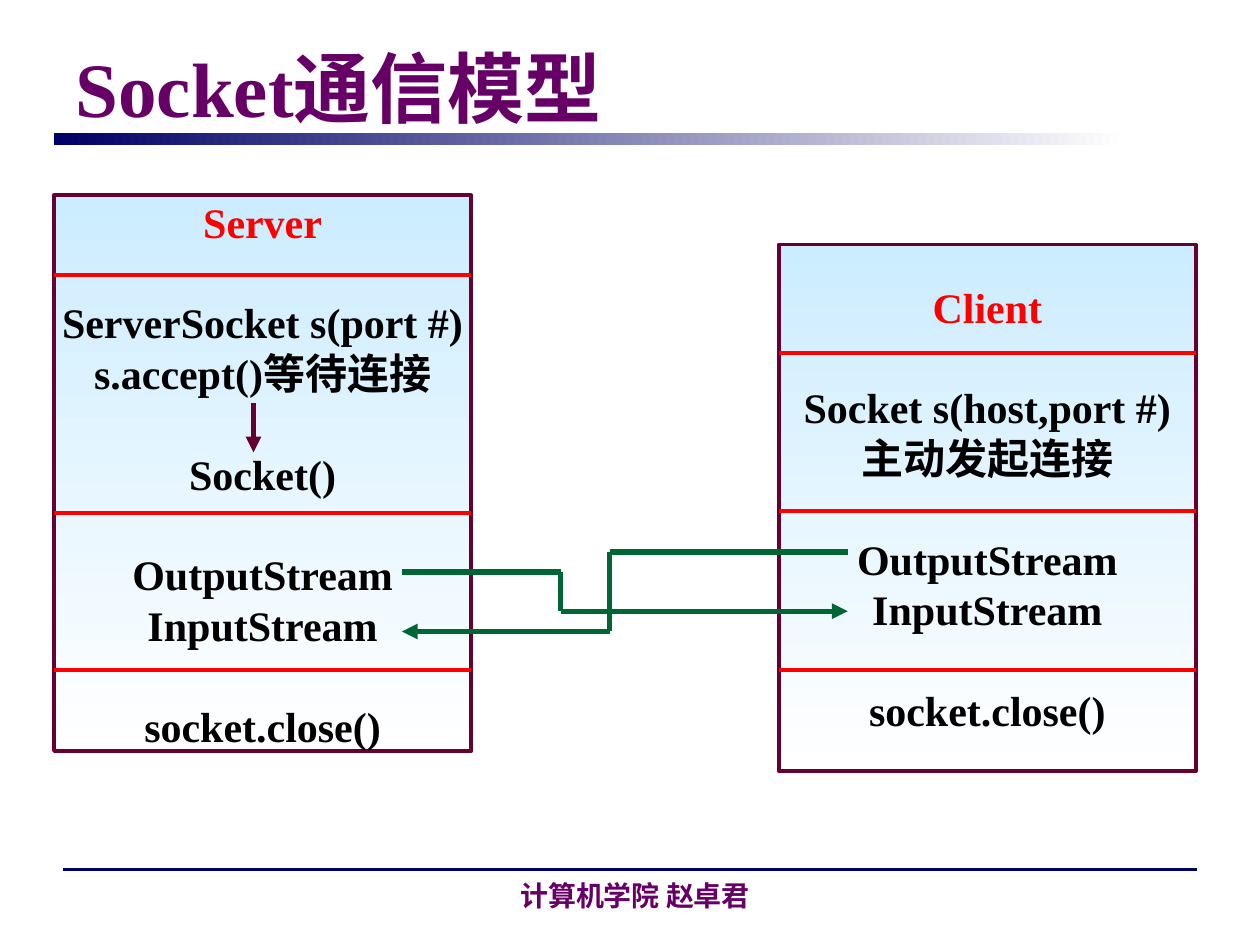
from dataclasses import dataclass
from itertools import pairwise

from lxml.etree import SubElement
from pptx import Presentation
from pptx.dml.color import RGBColor as Rgb
from pptx.enum.shapes import MSO_CONNECTOR as Link, MSO_SHAPE as Form
from pptx.enum.text import MSO_ANCHOR as Anchor, PP_ALIGN as Align
from pptx.oxml.ns import qn
from pptx.util import Cm, Pt


@dataclass(frozen=True)
class Theme:
    navy: str = "000066"
    plum: str = "660066"
    wine: str = "660033"
    red: str = "FF0000"
    green: str = "006633"
    sky: str = "CCECFF"
    white: str = "FFFFFF"
    black: str = "000000"
    latin: str = "Times New Roman"
    asian: str = "Noto Sans CJK SC"
    title: float = 44
    body: float = 24
    foot: float = 16
    pitch: float = 28.8
    thin: float = 1.5
    edge: float = 2.25
    bold: float = 3


@dataclass(frozen=True)
class Peer:
    """A box of stacked sections; each group of lines is set off by one line."""
    left: float
    top: float
    high: float
    cuts: tuple[float, ...]
    groups: tuple[tuple[str, ...], ...]
    wide: float = 8.41


@dataclass(frozen=True)
class Route:
    points: tuple[tuple[float, float], ...]
    color: str


THEME = Theme()
STREAMS = ("OutputStream", "InputStream")
CLOSE = ("socket.close()",)
PEERS = (
    Peer(1.09, 3.94, 11.2, (5.54, 10.34, 13.51),
         (("Server",), ("ServerSocket s(port #)", "s.accept()等待连接"),
          ("Socket()",), STREAMS, CLOSE)),
    Peer(15.7, 4.93, 10.62, (7.11, 10.31, 13.51),
         (("Client",), ("Socket s(host,port #)", "主动发起连接"), STREAMS, CLOSE)),
)
ROUTES = (
    Route(((8.1, 11.53), (11.3, 11.53), (11.3, 12.32), (17.09, 12.32)), THEME.green),
    Route(((17.09, 11.13), (12.29, 11.13), (12.29, 12.73), (8.1, 12.73)), THEME.green),
    Route(((5.11, 8.13), (5.11, 9.12)), THEME.wine),
)


def style(para, size: float, color: str, latin: str = THEME.latin) -> None:
    for run in para.runs:
        font = run.font
        font.name, font.size, font.bold = latin, Pt(size), True
        font.color.rgb = Rgb.from_string(color)
        face = SubElement(font._element, qn("a:ea"))
        face.set("typeface", THEME.asian)


def line(slide, start: tuple, end: tuple, color: str, width: float, arrow: bool = False) -> None:
    link = slide.shapes.add_connector(Link.STRAIGHT, *map(Cm, start + end))
    link.line.color.rgb = Rgb.from_string(color)
    link.line.width = Pt(width)
    if arrow:
        SubElement(link.line._get_or_add_ln(), qn("a:tailEnd")).set("type", "triangle")
    SubElement(link._element.spPr, qn("a:effectLst"))


def panel(slide, box: tuple, first: str, last: str, angle: int):
    """Add a rectangle with a two-colour gradient and no outline."""
    shape = slide.shapes.add_shape(Form.RECTANGLE, *map(Cm, box))
    shape.shadow.inherit = False
    shape.fill.gradient()
    shape.fill.gradient_angle = angle
    for stop, color in zip(shape.fill.gradient_stops, (first, last)):
        stop.color.rgb = Rgb.from_string(color)
    shape.line.fill.background()
    return shape


def draw_peer(slide, peer: Peer) -> None:
    box = (peer.left, peer.top, peer.wide, peer.high)
    shape = panel(slide, box, THEME.sky, THEME.white, 270)
    shape.line.color.rgb = Rgb.from_string(THEME.wine)
    shape.line.width = Pt(THEME.edge)
    frame = shape.text_frame
    frame.word_wrap = False
    frame.vertical_anchor = Anchor.MIDDLE
    frame.text = "\n".join(text for group in peer.groups for text in group)
    starts = [index == 0 for group in peer.groups for index in range(len(group))]
    for index, para in enumerate(frame.paragraphs):
        para.alignment = Align.CENTER
        para.line_spacing = Pt(THEME.pitch)
        para.space_before = Pt(THEME.pitch if index and starts[index] else 0)
        style(para, THEME.body, THEME.black if index else THEME.red)
    for cut in peer.cuts:
        line(slide, (peer.left, cut), (peer.left + peer.wide, cut), THEME.red, THEME.edge)


def draw_route(slide, route: Route) -> None:
    for start, end in pairwise(route.points):
        line(slide, start, end, route.color, THEME.bold, end == route.points[-1])


def draw_title(slide, text: str) -> None:
    title = slide.shapes.title
    title.left, title.top, title.width, title.height = map(Cm, (1.27, 0.76, 22.86, 1.96))
    frame = title.text_frame
    frame.text = text
    frame.vertical_anchor = Anchor.MIDDLE
    frame.paragraphs[0].alignment = Align.LEFT
    style(frame.paragraphs[0], THEME.title, THEME.plum)


def draw_foot(slide, text: str) -> None:
    line(slide, (1.27, 17.53), (24.13, 17.53), THEME.navy, THEME.thin)
    frame = slide.shapes.add_textbox(*map(Cm, (6.71, 17.25, 12.19, 1.27))).text_frame
    frame.word_wrap = True
    frame.vertical_anchor = Anchor.BOTTOM
    frame.text = text
    frame.paragraphs[0].alignment = Align.CENTER
    style(frame.paragraphs[0], THEME.foot, THEME.plum, THEME.asian)


def main() -> None:
    deck = Presentation()
    deck.slide_width, deck.slide_height = Cm(25.4), Cm(19.05)
    slide = deck.slides.add_slide(deck.slide_layouts[5])
    panel(slide, (1.09, 2.69, 21.62, 0.23), THEME.navy, THEME.white, 0)
    draw_foot(slide, "计算机学院 赵卓君")
    draw_title(slide, "Socket通信模型")
    for peer in PEERS:
        draw_peer(slide, peer)
    for route in ROUTES:
        draw_route(slide, route)
    deck.save("out.pptx")


if __name__ == "__main__":
    main()
